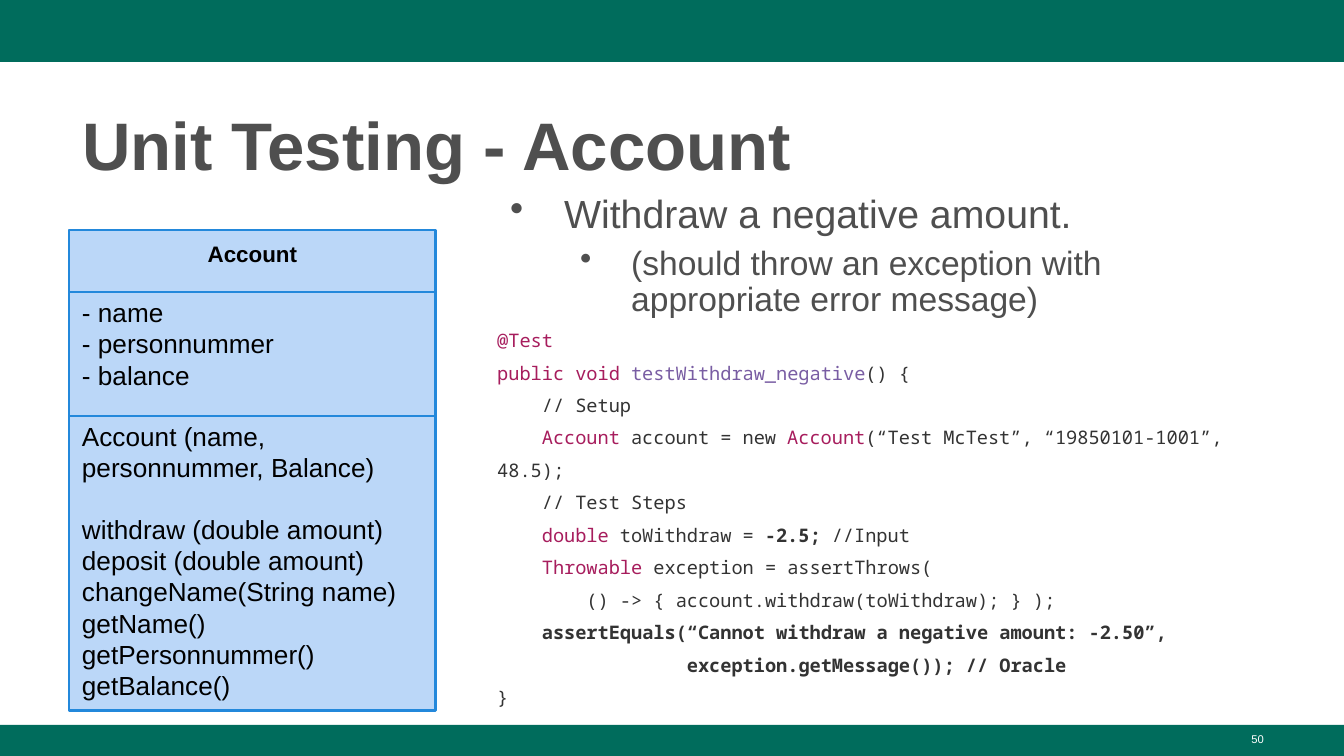
import pptx
import pptx.dml.color
import pptx.enum.shapes
import pptx.enum.text
import pptx.oxml.ns
import pptx.util
from dataclasses import dataclass
from lxml import etree

ALIGN = pptx.enum.text.PP_ALIGN
ANCHOR = pptx.enum.text.MSO_ANCHOR
SLIDE_WIDTH, SLIDE_HEIGHT = 1344, 756
EMU_PER_PX = 9144000 / SLIDE_WIDTH


@dataclass(frozen=True)
class Theme:
    band: str = "006C5C"
    heading: str = "4F4F4F"
    white: str = "FFFFFF"
    black: str = "000000"
    card: str = "BBD7F8"
    card_line: str = "2388DB"
    keyword: str = "A71D5D"
    method: str = "795DA3"
    code: str = "333333"
    sans: str = "Arial"
    mono: str = "Noto Sans Mono"
    title_size: int = 36
    bullet_size: int = 21
    sub_bullet_size: int = 18
    member_size: int = 14
    class_size: int = 12
    code_size: int = 10
    number_size: int = 6


THEME = Theme()

# Bullets: text, size, level, left margin, hanging indent, space before
BULLETS = [
    ("Withdraw a negative amount.", THEME.bullet_size, 0, 67, 54, 0),
    ("(should throw an exception with appropriate error message)",
     THEME.sub_bullet_size, 1, 134, 51, 5),
]

# Code lines: spans of text and style (k keyword, m method, p plain, b bold)
CODE = [
    [("@Test", "k")],
    [("public void ", "k"), ("testWithdraw_negative", "m"), ("() {", "p")],
    [("    // Setup", "p")],
    [("    Account", "k"), (" account = new ", "p"), ("Account", "k"),
     ("(“Test McTest”, “19850101-1001”, 48.5);", "p")],
    [("    // Test Steps", "p")],
    [("    double", "k"), (" toWithdraw = ", "p"), ("-2.5;", "b"), (" //Input", "p")],
    [("    Throwable", "k"), (" exception = assertThrows(", "p")],
    [("        () -> { account.withdraw(toWithdraw); } );", "p")],
    [("    assertEquals(“Cannot withdraw a negative amount: -2.50”,", "b")],
    [("                 exception.getMessage()); // Oracle", "b")],
    [("}", "p")],
]
CODE_COLORS = {"k": THEME.keyword, "m": THEME.method, "p": THEME.code, "b": THEME.code}

# Member groups of the class card, set apart by a gap of one line
MEMBER_GROUPS = [
    ["- name", "- personnummer", "- balance"],
    ["Account (name, personnummer, Balance)"],
    ["withdraw (double amount)", "deposit (double amount)", "changeName(String name)",
     "getName()", "getPersonnummer()", "getBalance()"],
]
GROUP_GAP = 16


def px(length):
    return pptx.util.Emu(round(length * EMU_PER_PX))


def rgb(color):
    return pptx.dml.color.RGBColor.from_string(color)


def style_font(font, size, color, name=THEME.sans, bold=False):
    font.size = pptx.util.Pt(size)
    font.name = name
    font.bold = bold
    font.color.rgb = rgb(color)


def add_rect(page, left, top, width, height, fill, line=None):
    rect = page.shapes.add_shape(pptx.enum.shapes.MSO_SHAPE.RECTANGLE,
                                 px(left), px(top), px(width), px(height))
    rect.shadow.inherit = False
    rect.fill.solid()
    rect.fill.fore_color.rgb = rgb(fill)
    if line:
        rect.line.color.rgb = rgb(line)
        rect.line.width = pptx.util.Pt(1.5)
    else:
        rect.line.fill.background()
    return rect


def add_divider(page, left, right, y):
    divider = page.shapes.add_connector(pptx.enum.shapes.MSO_CONNECTOR.STRAIGHT,
                                        px(left), px(y), px(right), px(y))
    divider.line.color.rgb = rgb(THEME.card_line)
    divider.line.width = pptx.util.Pt(1.5)
    etree.SubElement(divider._element.spPr, pptx.oxml.ns.qn("a:effectLst"))


def add_text_frame(page, left, top, width, height):
    box = page.shapes.add_textbox(px(left), px(top), px(width), px(height))
    box.text_frame.word_wrap = True
    return box.text_frame


def next_paragraph(frame):
    first = frame.paragraphs[0]
    return frame.add_paragraph() if first.runs else first


def add_line(frame, text, size, color, align=ALIGN.LEFT, bold=False, before=0):
    para = next_paragraph(frame)
    para.alignment = align
    if before:
        para.space_before = pptx.util.Pt(before)
    style_font(para.font, size, color, bold=bold)
    para.add_run().text = text
    return para


def add_bullet(frame, text, size, level, margin, hanging, before):
    para = next_paragraph(frame)
    para.level = level
    para.line_spacing = 0.9
    para.space_before = pptx.util.Pt(before)
    props = para._p.get_or_add_pPr()
    props.set("marL", str(px(margin)))
    props.set("indent", str(px(-hanging)))
    bullet_color = etree.SubElement(props, pptx.oxml.ns.qn("a:buClr"))
    etree.SubElement(bullet_color, pptx.oxml.ns.qn("a:srgbClr"), val=THEME.heading)
    etree.SubElement(props, pptx.oxml.ns.qn("a:buChar"), char="•")
    style_font(para.font, size, THEME.heading)
    para.add_run().text = text


def add_code_line(frame, spans):
    para = next_paragraph(frame)
    para.line_spacing = 1.45
    style_font(para.font, THEME.code_size, THEME.code, THEME.mono)
    for text, style in spans:
        span = para.add_run()
        span.text = text
        span.font.color.rgb = rgb(CODE_COLORS[style])
        span.font.bold = style == "b"


def add_class_card(page, left, top, width, height):
    card = add_rect(page, left, top, width, height, THEME.card, THEME.card_line)
    frame = card.text_frame
    frame.word_wrap = True
    frame.vertical_anchor = ANCHOR.MIDDLE
    frame.margin_left = frame.margin_right = px(13)
    frame.margin_top = frame.margin_bottom = px(13)
    add_line(frame, "Account", THEME.class_size, THEME.black, ALIGN.CENTER, bold=True)
    for group in MEMBER_GROUPS:
        for index, member in enumerate(group):
            add_line(frame, member, THEME.member_size, THEME.black,
                     before=0 if index else GROUP_GAP)
    for offset in (62, 186):
        add_divider(page, left, left + width, top + offset)


def main():
    deck = pptx.Presentation()
    deck.slide_width, deck.slide_height = px(SLIDE_WIDTH), px(SLIDE_HEIGHT)
    page = deck.slides.add_slide(deck.slide_layouts[6])

    # Top and bottom bands
    add_rect(page, 0, 0, SLIDE_WIDTH, 62, THEME.band)
    add_rect(page, 0, 725, SLIDE_WIDTH, 31, THEME.band)

    # Title and page number
    title = add_text_frame(page, 69, 90, 1208, 98)
    add_line(title, "Unit Testing - Account", THEME.title_size, THEME.heading,
             bold=True).line_spacing = 1.08
    number = add_text_frame(page, 964, 726, 313, 31)
    add_line(number, "50", THEME.number_size, THEME.white, ALIGN.RIGHT)

    # Test case and its code
    body = add_text_frame(page, 484, 188, 793, 512)
    for bullet in BULLETS:
        add_bullet(body, *bullet)
    for spans in CODE:
        add_code_line(body, spans)

    # Class diagram
    add_class_card(page, 69, 230, 367, 481)

    deck.save("out.pptx")


if __name__ == "__main__":
    main()
